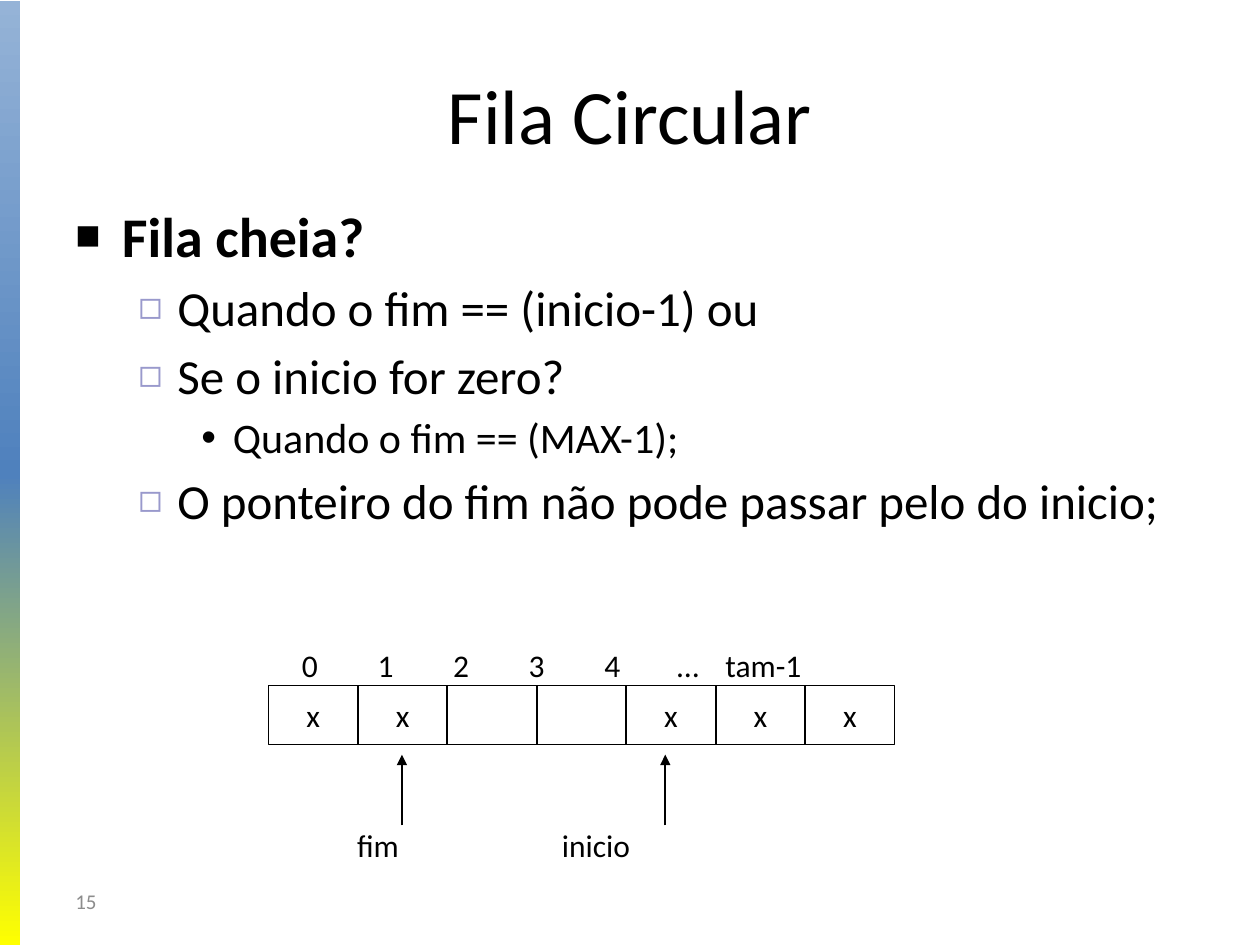
from copy import deepcopy
from dataclasses import dataclass

from lxml import etree
from pptx import Presentation
from pptx.dml.color import RGBColor
from pptx.enum.shapes import MSO_CONNECTOR, MSO_SHAPE
from pptx.enum.text import MSO_ANCHOR, PP_ALIGN
from pptx.oxml.ns import qn
from pptx.util import Inches, Pt

RECTANGLE = MSO_SHAPE.RECTANGLE
STRAIGHT = MSO_CONNECTOR.STRAIGHT
MIDDLE = MSO_ANCHOR.MIDDLE
LEFT, CENTER = PP_ALIGN.LEFT, PP_ALIGN.CENTER


@dataclass(frozen=True)
class Theme:
    font: str = "Calibri"
    black: str = "000000"
    gray: str = "8C8C8C"
    bullet: str = "9999CC"
    bar: tuple = ("95B3D7", "4F81BD", "FFFF00")
    title_size: int = 44
    level_sizes: tuple = (32, 28, 24)
    label_size: int = 18
    number_size: int = 12


theme = Theme()


def add_run(paragraph, text, size, color=theme.black, bold=False):
    run = paragraph.add_run()
    run.text = text
    run.font.name = theme.font
    run.font.size = Pt(size)
    run.font.bold = bold
    run.font.color.rgb = RGBColor.from_string(color)


def add_text(left, top, width, height, text, size, color=theme.black, align=CENTER):
    box = slide.shapes.add_textbox(Inches(left), Inches(top), Inches(width), Inches(height))
    box.text_frame.word_wrap = True
    box.text_frame.vertical_anchor = MIDDLE
    paragraph = box.text_frame.paragraphs[0]
    paragraph.alignment = align
    add_run(paragraph, text, size, color)


presentation = Presentation()
presentation.slide_width, presentation.slide_height = Inches(10), Inches(7.5)
slide = presentation.slides.add_slide(presentation.slide_layouts[6])

# Gradient bar on the left edge
bar = slide.shapes.add_shape(RECTANGLE, Inches(-0.04), Inches(0.01), Inches(0.2), Inches(7.5))
bar.shadow.inherit = False
bar.line.fill.background()
bar.fill.gradient()
bar.fill.gradient_angle = 270
stop_list = bar.fill.gradient_stops[0]._gs.getparent()
stop_list.append(deepcopy(stop_list[-1]))
for stop, color, position in zip(bar.fill.gradient_stops, theme.bar, (0, 0.5, 1)):
    stop.color.rgb = RGBColor.from_string(color)
    stop.position = position

# Slide number and title
add_text(0.5, 6.95, 2.33, 0.4, "15", theme.number_size, theme.gray, LEFT)
add_text(0.5, 0.48, 9, 0.85, "Fila Circular", theme.title_size)

# Bulleted text: indent, hanging, bullet, bullet size, bullet colour by level
levels = (
    (0.37, 0.37, "■", 75, theme.black),
    (0.81, 0.31, "◻", 80, theme.bullet),
    (1.25, 0.25, "•", 100, theme.black),
)
lines = (
    (0, "Fila cheia?"),
    (1, "Quando o fim == (inicio-1) ou"),
    (1, "Se o inicio for zero?"),
    (2, "Quando o fim == (MAX-1);"),
    (1, "O ponteiro do fim não pode passar pelo do inicio;"),
)
body = slide.shapes.add_textbox(Inches(0.5), Inches(1.55), Inches(9), Inches(5.05))
body.text_frame.word_wrap = True
for index, (level, text) in enumerate(lines):
    frame = body.text_frame
    paragraph = frame.add_paragraph() if index else frame.paragraphs[0]
    indent, hanging, bullet, percent, color = levels[level]
    size = theme.level_sizes[level]
    paragraph.level = level
    paragraph.space_before = Pt(round(0.18 * size, 1))
    properties = paragraph._p.get_or_add_pPr()
    properties.set("marL", str(Inches(indent)))
    properties.set("indent", str(-Inches(hanging)))
    bullet_color = etree.SubElement(properties, qn("a:buClr"))
    etree.SubElement(bullet_color, qn("a:srgbClr"), val=color)
    etree.SubElement(properties, qn("a:buSzPct"), val=str(percent * 1000))
    etree.SubElement(properties, qn("a:buFont"), typeface="Arial")
    etree.SubElement(properties, qn("a:buChar"), char=bullet)
    add_run(paragraph, text, size, bold=level == 0)

# Queue cells
cell_width = 0.71
for index, value in enumerate(("x", "x", "", "", "x", "x", "x")):
    cell = slide.shapes.add_shape(
        RECTANGLE, Inches(2.13 + index * cell_width), Inches(5.44), Inches(cell_width), Inches(0.47)
    )
    cell.shadow.inherit = False
    cell.fill.background()
    cell.line.color.rgb = RGBColor.from_string(theme.black)
    cell.line.width = Pt(1)
    if value:
        cell.text_frame.vertical_anchor = MIDDLE
        paragraph = cell.text_frame.paragraphs[0]
        paragraph.alignment = CENTER
        add_run(paragraph, value, theme.label_size)

# Index labels above the cells
for index, label in enumerate(("0", "1", "2", "3", "4", "…", "tam-1")):
    add_text(1.96 + index * 0.6, 5.08, 1, 0.4, label, theme.label_size)

# Pointers below the cells: label centre, arrow position
for label, label_center, arrow_x in (("fim", 3, 3.19), ("inicio", 4.73, 5.28)):
    add_text(label_center - 0.5, 6.51, 1, 0.4, label, theme.label_size)
    arrow = slide.shapes.add_connector(
        STRAIGHT, Inches(arrow_x), Inches(6.55), Inches(arrow_x), Inches(5.99)
    )
    arrow.line.color.rgb = RGBColor.from_string(theme.black)
    arrow.line.width = Pt(1)
    etree.SubElement(arrow.line._get_or_add_ln(), qn("a:tailEnd"), type="triangle")
    etree.SubElement(arrow._element.spPr, qn("a:effectLst"))

presentation.save("out.pptx")
